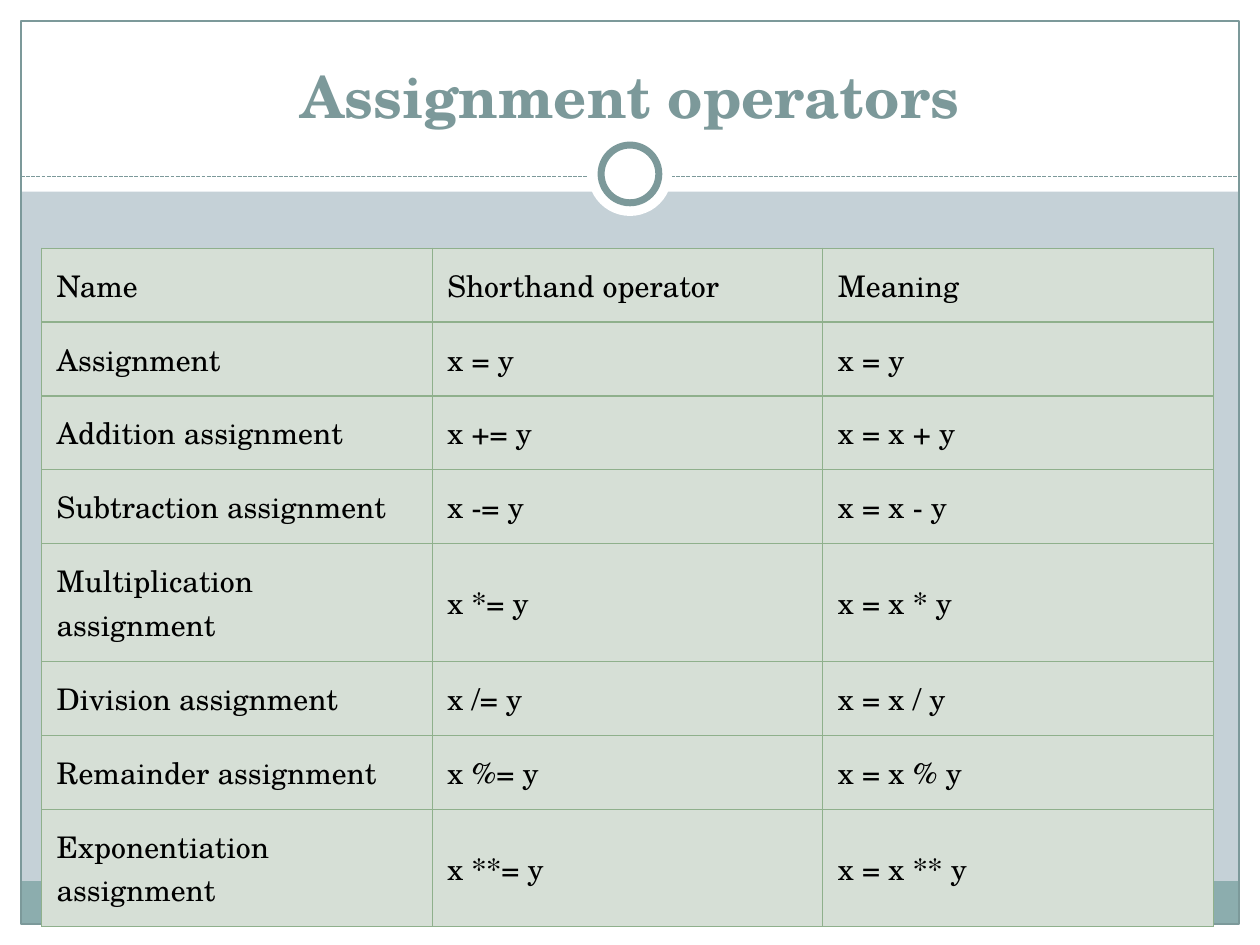
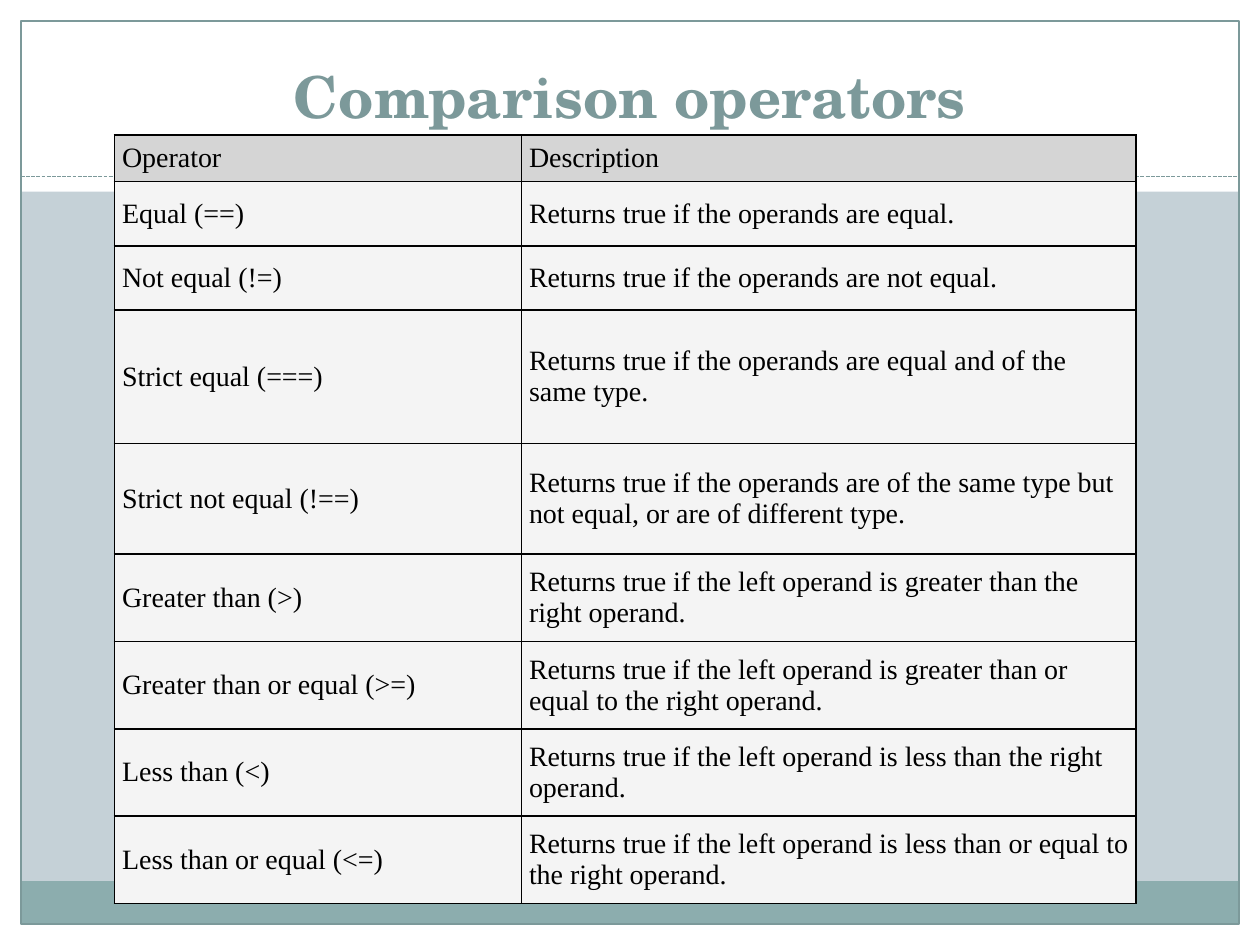
"""Builds two slides of reference tables on script operators."""
import pptx
import pptx.dml.color
import pptx.enum.dml
import pptx.enum.shapes
import pptx.enum.text
import pptx.oxml
import pptx.oxml.ns
import pptx.util

Pt = pptx.util.Pt
RGBColor = pptx.dml.color.RGBColor
MSO_SHAPE = pptx.enum.shapes.MSO_SHAPE
PP_ALIGN = pptx.enum.text.PP_ALIGN

MIST = RGBColor(0xC5, 0xD1, 0xD7)
WHITE = RGBColor(0xFF, 0xFF, 0xFF)
BLACK = RGBColor(0x00, 0x00, 0x00)
TEAL = RGBColor(0x7C, 0x99, 0x9A)
FOOTER_TEAL = RGBColor(0x8C, 0xAD, 0xAE)
SAGE = RGBColor(0xD6, 0xDF, 0xD6)
SAGE_RULE = RGBColor(0x8F, 0xB0, 0x8C)
HEADER_GREY = RGBColor(0xD5, 0xD5, 0xD5)
ROW_GREY = RGBColor(0xF4, 0xF4, 0xF4)

SERIF = "TeX Gyre Schola"
TIMES = "Times New Roman"
WIDTH, HEIGHT = 720, 540
MARGIN = 12
BAND_HEIGHT = 109.5
RULE_Y = 100.8
RING_CENTRE_Y = 99.4

ASSIGNMENTS = [
    ("Name", "Shorthand operator", "Meaning"),
    ("Assignment", "x = y", "x = y"),
    ("Addition assignment", "x += y", "x = x + y"),
    ("Subtraction assignment", "x -= y", "x = x - y"),
    ("Multiplication assignment", "x *= y", "x = x * y"),
    ("Division assignment", "x /= y", "x = x / y"),
    ("Remainder assignment", "x %= y", "x = x % y"),
    ("Exponentiation assignment", "x **= y", "x = x ** y"),
]

COMPARISONS = [
    ("Operator", "Description"),
    ("Equal (==)", "Returns true if the operands are equal."),
    ("Not equal (!=)", "Returns true if the operands are not equal."),
    ("Strict equal (===)",
     "Returns true if the operands are equal and of the same type."),
    ("Strict not equal (!==)",
     "Returns true if the operands are of the same type but not equal, "
     "or are of different type."),
    ("Greater than (>)",
     "Returns true if the left operand is greater than the right operand."),
    ("Greater than or equal (>=)",
     "Returns true if the left operand is greater than or equal to "
     "the right operand."),
    ("Less than (<)",
     "Returns true if the left operand is less than the right operand."),
    ("Less than or equal (<=)",
     "Returns true if the left operand is less than or equal to "
     "the right operand."),
]


def add_panel(slide, preset, box, fill=None, rule=None, rule_width=0.75):
    """Add a preset shape with an optional fill and outline."""
    panel = slide.shapes.add_shape(preset, *map(Pt, box))
    panel.shadow.inherit = False
    if fill is None:
        panel.fill.background()
    else:
        panel.fill.solid()
        panel.fill.fore_color.rgb = fill
    if rule is None:
        panel.line.fill.background()
    else:
        panel.line.color.rgb = rule
        panel.line.width = Pt(rule_width)
    return panel


def add_dashed_rule(slide, left, right, y):
    """Add a horizontal dashed line."""
    rule = slide.shapes.add_connector(
        pptx.enum.shapes.MSO_CONNECTOR.STRAIGHT, Pt(left), Pt(y), Pt(right), Pt(y))
    rule.line.color.rgb = TEAL
    rule.line.width = Pt(0.75)
    rule.line.dash_style = pptx.enum.dml.MSO_LINE.SQUARE_DOT
    properties = rule._element.spPr
    properties.append(properties.makeelement(pptx.oxml.ns.qn("a:effectLst"), {}))
    return rule


def add_disc(slide, diameter, **style):
    """Add a white disc centred on the ring position."""
    box = ((WIDTH - diameter) / 2, RING_CENTRE_Y - diameter / 2, diameter, diameter)
    return add_panel(slide, MSO_SHAPE.OVAL, box, WHITE, **style)


def set_up_layout(layout, slide):
    """Draw the shared frame and move it behind the layout's placeholders."""
    layout.background.fill.solid()
    layout.background.fill.fore_color.rgb = MIST
    inner_width, bottom = WIDTH - 2 * MARGIN, HEIGHT - MARGIN
    borders = [
        (0, bottom, WIDTH, MARGIN),
        (0, 0, WIDTH, BAND_HEIGHT),
        (0, 0, MARGIN, HEIGHT),
        (WIDTH - MARGIN, 0, MARGIN, HEIGHT),
    ]
    frame = [add_panel(slide, MSO_SHAPE.RECTANGLE, box, WHITE) for box in borders]
    frame += [
        add_panel(slide, MSO_SHAPE.RECTANGLE,
                  (MARGIN, bottom - 24.5, inner_width, 24.5), FOOTER_TEAL),
        add_panel(slide, MSO_SHAPE.RECTANGLE,
                  (MARGIN, MARGIN, inner_width, HEIGHT - 2 * MARGIN), rule=TEAL),
        add_dashed_rule(slide, MARGIN, WIDTH - MARGIN, RULE_Y),
        add_disc(slide, 48),
        add_disc(slide, 33, rule=TEAL, rule_width=4),
    ]
    for position, part in enumerate(frame, start=2):
        layout.shapes.element.insert(position, part._element)


def set_title(slide, wording):
    """Place and format the slide title."""
    title = slide.shapes.title
    title.left, title.top, title.width, title.height = map(Pt, (24, 18, 672, 60))
    frame = title.text_frame
    frame.text = wording
    frame.word_wrap = True
    frame.auto_size = pptx.enum.text.MSO_AUTO_SIZE.NONE
    frame.vertical_anchor = pptx.enum.text.MSO_ANCHOR.BOTTOM
    paragraph = frame.paragraphs[0]
    paragraph.alignment = PP_ALIGN.CENTER
    set_font(paragraph, SERIF, 33, TEAL, True)


def set_font(paragraph, name, size, colour, bold=False):
    """Format a whole paragraph."""
    font = paragraph.font
    font.name, font.size, font.bold = name, Pt(size), bold
    font.color.rgb = colour


def set_borders(cell, colour, width):
    """Draw all four borders of a cell."""
    properties = cell._tc.get_or_add_tcPr()
    for position, side in enumerate(("lnL", "lnR", "lnT", "lnB")):
        border = pptx.oxml.parse_xml(
            f'<a:{side} {pptx.oxml.ns.nsdecls("a")} w="{Pt(width)}">'
            f'<a:solidFill><a:srgbClr val="{colour}"/></a:solidFill></a:{side}>')
        properties.insert(position, border)


def add_operator_table(slide, entries, origin, widths, heights, font, size, inset,
                       fills, rule, rule_width, alignment):
    """Add a table whose fills are given for the header and the body."""
    left, top = origin
    table = slide.shapes.add_table(
        len(entries), len(widths), Pt(left), Pt(top),
        Pt(sum(widths)), Pt(sum(heights))).table
    table.first_row = table.horz_banding = False
    for column, width in zip(table.columns, widths):
        column.width = Pt(width)
    for row, height, wordings in zip(table.rows, heights, entries):
        row.height = Pt(height)
        fill = fills[0] if wordings is entries[0] else fills[1]
        for cell, wording in zip(row.cells, wordings):
            cell.text = wording
            cell.vertical_anchor = pptx.enum.text.MSO_ANCHOR.MIDDLE
            cell.margin_left = cell.margin_right = Pt(inset)
            cell.margin_top = cell.margin_bottom = Pt(inset)
            cell.fill.solid()
            cell.fill.fore_color.rgb = fill
            set_borders(cell, rule, rule_width)
            paragraph = cell.text_frame.paragraphs[0]
            paragraph.alignment = alignment
            set_font(paragraph, font, size, BLACK)


def main():
    """Build and save both slides."""
    deck = pptx.Presentation()
    deck.slide_width, deck.slide_height = Pt(WIDTH), Pt(HEIGHT)
    layout = deck.slide_layouts[5]

    assignment = deck.slides.add_slide(layout)
    set_up_layout(layout, assignment)
    set_title(assignment, "Assignment operators")
    add_operator_table(
        assignment, ASSIGNMENTS, (23.76, 141.8), [223.2] * 3,
        [36.72] * len(ASSIGNMENTS), SERIF, 17, 8.64, (SAGE, SAGE),
        SAGE_RULE, 0.75, PP_ALIGN.JUSTIFY)

    comparison = deck.slides.add_slide(layout)
    set_title(comparison, "Comparison operators")
    add_operator_table(
        comparison, COMPARISONS, (65.4, 77.1), [232.5, 351.4],
        [24, 36.8, 36.8, 76.2, 63.2] + [49.9] * 4, TIMES, 16, 4.4,
        (HEADER_GREY, ROW_GREY), BLACK, 1, PP_ALIGN.LEFT)

    deck.save("out.pptx")


if __name__ == "__main__":
    main()
